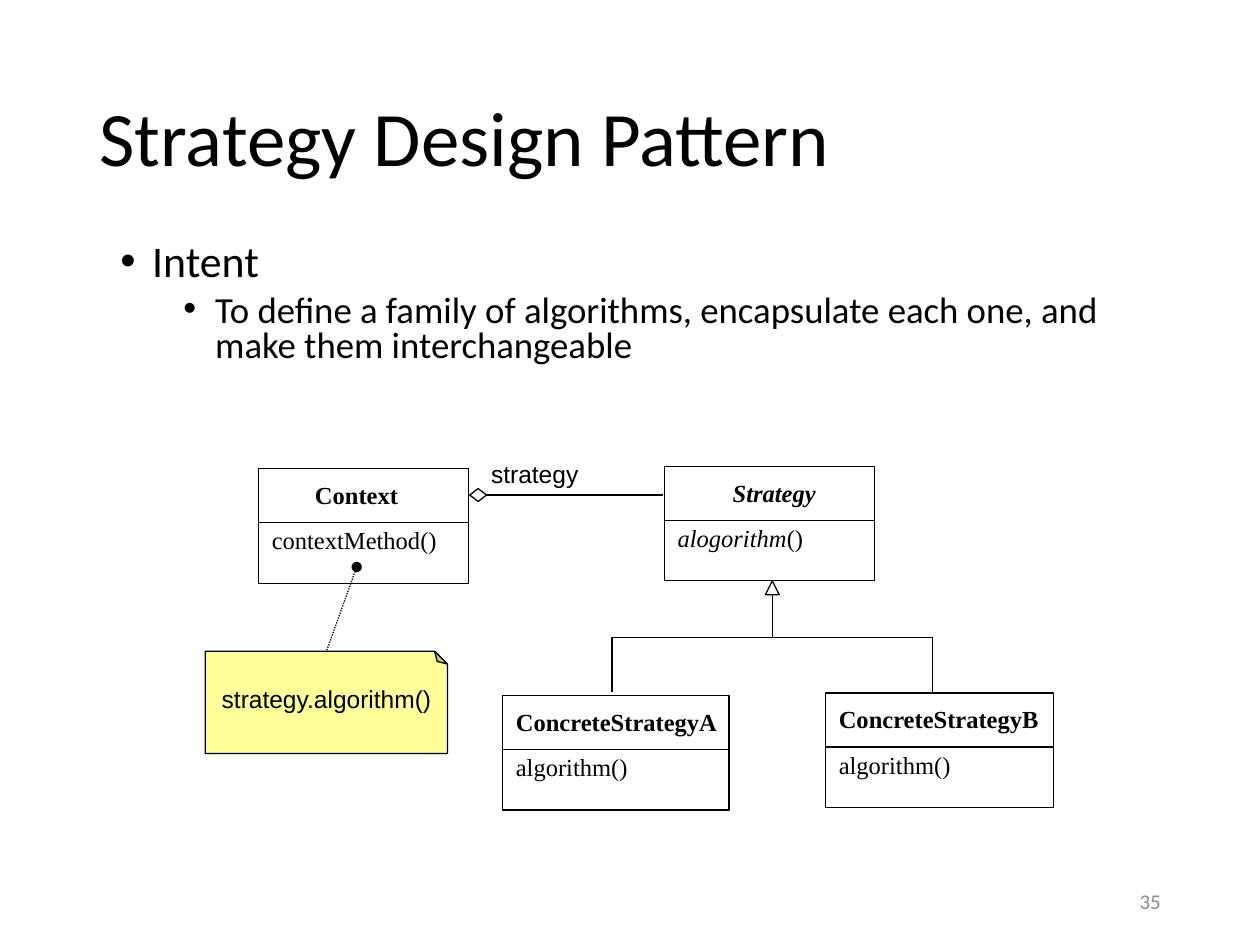
from lxml import etree
from pptx import Presentation
from pptx import util as u
from pptx.dml.color import RGBColor
from pptx.enum import dml, shapes, text
from pptx.oxml.ns import qn

BLACK = "000000"
LINE_WIDTH = u.Pt(0.75)


def colour(value):
    """Turn a hex string into a colour."""
    return RGBColor.from_string(value)


def style_runs(paragraph, size, font_name, hex_colour=BLACK, bold=False, italic=False):
    """Format every run of a paragraph."""
    for run in paragraph.runs:
        run.font.size = u.Pt(size)
        run.font.name = font_name
        run.font.bold = bold
        run.font.italic = italic
        run.font.color.rgb = colour(hex_colour)


def add_outline(slide, kind, left, top, width, height, fill=None):
    """Add a preset shape with a thin black outline."""
    shape = slide.shapes.add_shape(kind, u.Cm(left), u.Cm(top), u.Cm(width), u.Cm(height))
    style_outline(shape, fill)
    return shape


def style_outline(shape, fill=None):
    """Give a shape a thin black line, an optional fill and no shadow."""
    shape.shadow.inherit = False
    shape.line.color.rgb = colour(BLACK)
    shape.line.width = LINE_WIDTH
    if fill:
        shape.fill.solid()
        shape.fill.fore_color.rgb = colour(fill)
    else:
        shape.fill.background()


def add_line(slide, x1, y1, x2, y2):
    """Add a thin straight black line."""
    line = slide.shapes.add_connector(
        shapes.MSO_CONNECTOR.STRAIGHT, u.Cm(x1), u.Cm(y1), u.Cm(x2), u.Cm(y2))
    line.line.color.rgb = colour(BLACK)
    line.line.width = LINE_WIDTH
    etree.SubElement(line._element.spPr, qn("a:effectLst"))
    return line


def add_label(slide, left, top, width, height, words, size, font_name, hex_colour=BLACK):
    """Add a one-line text box and return it."""
    label = slide.shapes.add_textbox(u.Cm(left), u.Cm(top), u.Cm(width), u.Cm(height))
    label.text_frame.word_wrap = True
    paragraph = label.text_frame.paragraphs[0]
    paragraph.text = words
    style_runs(paragraph, size, font_name, hex_colour)
    return label


def add_title(slide, left, top, width, height):
    """Place and format the slide title."""
    title = slide.shapes.title
    title.left, title.top, title.width, title.height = map(u.Cm, (left, top, width, height))
    frame = title.text_frame
    frame.text = "Strategy Design Pattern"
    frame.auto_size = text.MSO_AUTO_SIZE.NONE
    frame.vertical_anchor = text.MSO_ANCHOR.MIDDLE
    paragraph = frame.paragraphs[0]
    paragraph.alignment = text.PP_ALIGN.LEFT
    paragraph.line_spacing = 0.9
    style_runs(paragraph, 44, "Calibri")


def add_intent(slide, left, top, width, height):
    """Add the two-level bullet list."""
    body = slide.shapes.add_textbox(u.Cm(left), u.Cm(top), u.Cm(width), u.Cm(height))
    frame = body.text_frame
    frame.word_wrap = True
    items = [
        ("Intent", 25, 0.64, 0),
        ("To define a family of algorithms, encapsulate each one, and "
         "make them interchangeable", 21, 1.91, 5),
    ]
    for level, (words, size, margin, space_before) in enumerate(items):
        paragraph = frame.add_paragraph() if level else frame.paragraphs[0]
        paragraph.text = words
        paragraph.level = level
        properties = paragraph._p.get_or_add_pPr()
        properties.set("marL", str(u.Cm(margin)))
        properties.set("indent", str(-u.Cm(0.64)))
        etree.SubElement(properties, qn("a:buFont")).set("typeface", "Arial")
        etree.SubElement(properties, qn("a:buChar")).set("char", "•")
        paragraph.line_spacing = 0.8
        paragraph.space_before = u.Pt(space_before)
        style_runs(paragraph, size, "Calibri")


def add_class(slide, left, top, width, name, method, name_indent=0, abstract=False):
    """Add a class box with its name above a divider and its method below."""
    box = add_outline(slide, shapes.MSO_SHAPE.RECTANGLE, left, top, width, 2.31)
    add_line(slide, left, top + 1.09, left + width, top + 1.09)
    frame = box.text_frame
    frame.vertical_anchor = text.MSO_ANCHOR.TOP
    frame.margin_left, frame.margin_top, frame.margin_right = u.Cm(0.27), u.Cm(0.23), 0
    heading, operation = frame.paragraphs[0], frame.add_paragraph()
    heading.text = name
    heading._p.get_or_add_pPr().set("marL", str(u.Cm(name_indent)))
    operation.space_before = u.Pt(9)
    for words in (method, "()"):
        operation.add_run().text = words
    for paragraph in (heading, operation):
        paragraph.alignment = text.PP_ALIGN.LEFT
        style_runs(paragraph, 14, "Times New Roman", bold=paragraph is heading, italic=abstract)
    operation.runs[1].font.italic = False


def add_aggregation(slide, left, middle, right):
    """Add the diamond-ended association and its role name."""
    add_outline(slide, shapes.MSO_SHAPE.DIAMOND, left, middle - 0.13, 0.34, 0.26)
    add_line(slide, left + 0.34, middle, right, middle)
    add_label(slide, left + 0.18, middle - 0.86, 2.6, 0.84, "strategy", 14, "Arial")


def add_inheritance(slide, left, top, width, height):
    """Add the triangle, its stem and the branch to both subclasses."""
    centre, branch_top, bottom = left + width / 2, top + 1.14, top + height
    add_outline(slide, shapes.MSO_SHAPE.ISOSCELES_TRIANGLE, centre - 0.14, top, 0.28, 0.28)
    add_line(slide, centre, top + 0.28, centre, branch_top)
    builder = slide.shapes.build_freeform(u.Cm(left), u.Cm(bottom))
    corners = [(left, branch_top), (left + width, branch_top), (left + width, bottom)]
    builder.add_line_segments([(u.Cm(x), u.Cm(y)) for x, y in corners], close=False)
    style_outline(builder.convert_to_shape())


def add_note(slide, left, top, width, height):
    """Add the folded note and the dotted line to the method it explains."""
    anchor = add_line(slide, left + 3.05, top - 1.7, left + width / 2, top)
    anchor.line.dash_style = dml.MSO_LINE.ROUND_DOT
    etree.SubElement(anchor.line._get_or_add_ln(), qn("a:headEnd")).set("type", "oval")
    note = add_outline(slide, shapes.MSO_SHAPE.FOLDED_CORNER, left, top, width, height, "FFFF99")
    properties = note._element.spPr
    properties.find(qn("a:xfrm")).set("flipV", "1")
    guides = properties.find(qn("a:prstGeom")).get_or_add_avLst()
    etree.SubElement(guides, qn("a:gd"), name="adj", fmla="val 12500")
    add_label(slide, left + 0.08, top + 0.54, width, 0.84, "strategy.algorithm()", 14, "Arial")


def add_slide_number(slide, left, top, width, height):
    """Add the slide number in the corner."""
    number = add_label(slide, left, top, width, height, "35", 12, "Calibri", "8C8C8C")
    number.text_frame.vertical_anchor = text.MSO_ANCHOR.MIDDLE
    number.text_frame.paragraphs[0].alignment = text.PP_ALIGN.RIGHT


def main():
    """Build and save the slide."""
    presentation = Presentation()
    presentation.slide_width, presentation.slide_height = u.Cm(25.4), u.Cm(19.05)
    slide = presentation.slides.add_slide(presentation.slide_layouts[5])
    add_title(slide, 1.75, 1.02, 21.89, 3.68)
    add_intent(slide, 2.18, 4.8, 20.22, 3)
    add_class(slide, 5.21, 9.45, 4.24, "Context", "contextMethod", name_indent=0.87)
    add_class(slide, 13.39, 9.4, 4.24, "Strategy", "alogorithm", name_indent=1.11, abstract=True)
    add_class(slide, 10.13, 14.02, 4.57, "ConcreteStrategyA", "algorithm")
    add_class(slide, 16.64, 13.97, 4.6, "ConcreteStrategyB", "algorithm")
    add_aggregation(slide, 9.47, 9.98, 13.37)
    add_inheritance(slide, 12.34, 11.71, 6.46, 2.25)
    add_note(slide, 4.14, 13.13, 4.88, 2.06)
    add_slide_number(slide, 17.93, 17.65, 5.72, 1.02)
    presentation.save("out.pptx")


if __name__ == "__main__":
    main()
